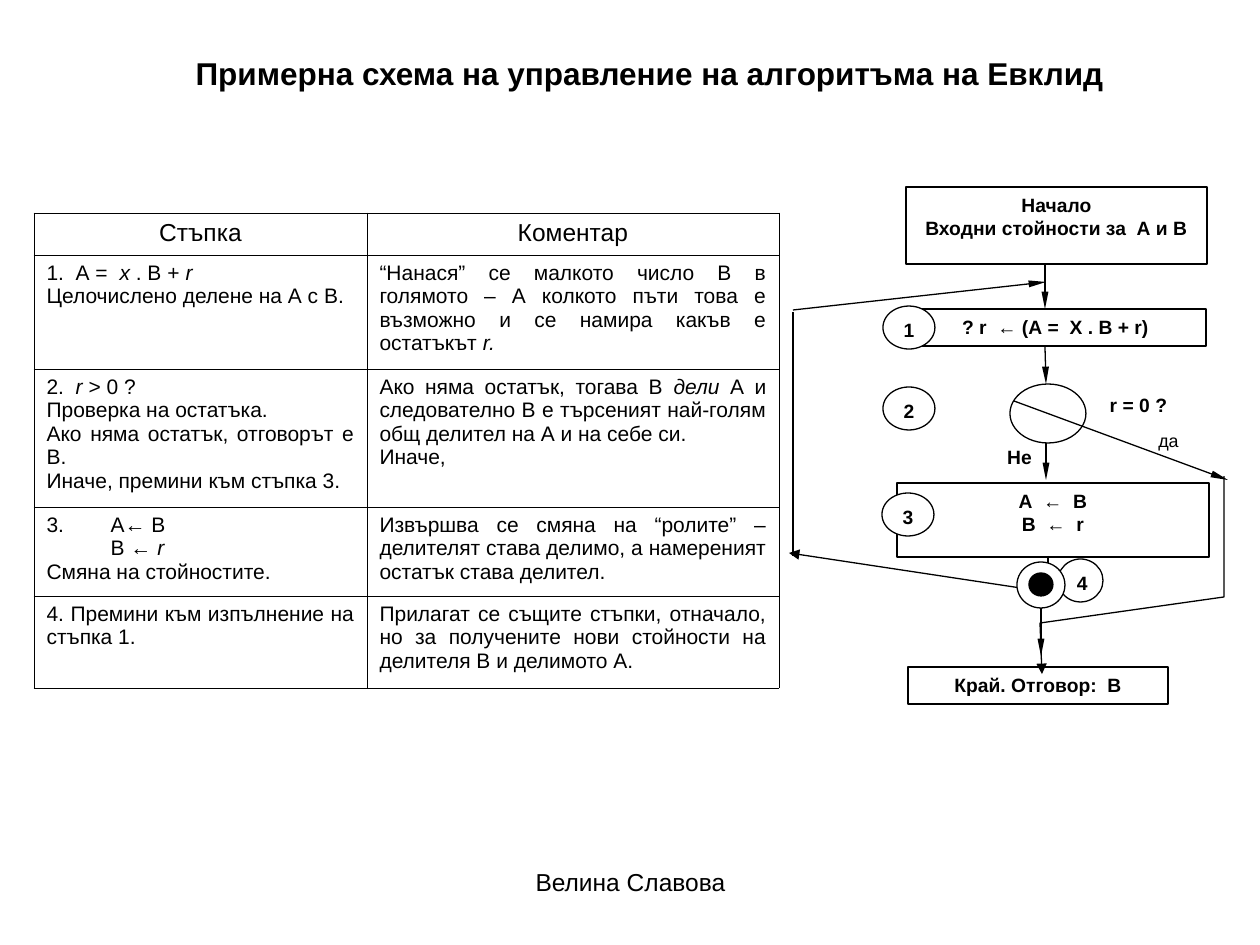
"""Build a slide with the steps and control flow of Euclid's algorithm."""
from lxml.etree import SubElement
from pptx import Presentation
from pptx.dml.color import RGBColor
from pptx.enum.shapes import MSO_CONNECTOR, MSO_SHAPE
from pptx.enum.text import MSO_ANCHOR, PP_ALIGN
from pptx.oxml import parse_xml
from pptx.oxml.ns import nsdecls, qn
from pptx.util import Emu, Pt

SCALE = 914400 / 126
FONT = "Arial"
COLORS = {"ink": "000000", "paper": "FFFFFF"}
TITLE = "Примерна схема на управление на алгоритъма на Евклид"
AUTHOR = "Велина Славова"

TABLE_AT = (34, 213)
COLUMN_WIDTHS = (333, 412)
ROW_HEIGHTS = (42, 114, 138, 89, 92)
STEP_TAB = 64
ROWS = [
    (["Стъпка"], ["Коментар"]),
    (["1.  А =  *х* . В + *r*", "Целочислено делене на А с В."],
     ["“Нанася” се малкото число В в голямото – А колкото пъти това е възможно "
      "и се намира какъв е остатъкът *r.*"]),
    (["2.  *r* > 0 ?", "Проверка на остатъка.", "Ако няма остатък, отговорът е В.",
      "Иначе, премини към стъпка 3."],
     ["Ако няма остатък, тогава В *дели* А и следователно В е търсеният най-голям "
      "общ делител на А и на себе си.", "Иначе,"]),
    (["3.\tА← B", "\tB ← *r*", "Смяна на стойностите."],
     ["Извършва се смяна на “ролите” – делителят става делимо, а намереният "
      "остатък става делител."]),
    (["4. Премини към изпълнение на стъпка 1."],
     ["Прилагат се същите стъпки, отначало, но за получените нови стойности на "
      "делителя В и делимото А."]),
]

BOXES = [
    ((906, 187, 301, 77), "Начало\nВходни стойности за  А и В"),
    ((905, 309, 301, 37), "? r  ← (А =  Х . В + r)"),
    ((897, 483, 312, 74), "А  ←  В\nВ  ←  r"),
    ((908, 667, 260, 37), "Край. Отговор:  В"),
]
DECISION = (1010, 384, 76, 59)
STEP_MARKS = [
    ((883, 306, 52, 43), "1"),
    ((883, 387, 52, 43), "2"),
    ((882, 493, 52, 43), "3"),
    ((1058, 559, 45, 43), "4"),
]
JUNCTION = [((1017, 562, 48, 46), "paper"), ((1029, 573, 24, 23), "ink")]
SLIM = {"w": "sm", "len": "lg"}
MEDIUM = {"w": "med", "len": "med"}
LINES = [
    ((1045, 264, 1045, 309), "tailEnd", SLIM),
    ((1045, 346, 1046, 384), "tailEnd", SLIM),
    ((1046, 443, 1046, 480), "tailEnd", SLIM),
    ((1048, 556, 1048, 593), "tailEnd", SLIM),
    ((793, 310, 1046, 282), "tailEnd", SLIM),
    ((793, 312, 793, 556), None, None),
    ((789, 553, 1047, 592), "headEnd", MEDIUM),
    ((1014, 401, 1228, 480), "tailEnd", SLIM),
    ((1041, 585, 1041, 656), "tailEnd", SLIM),
]
EXIT_ROUTE = [(1224, 476), (1224, 597), (1040, 623), (1042, 674)]
LABELS = [
    ((1082, 387, 113, 38), "r = 0 ?", 11, True),
    ((1142, 423, 53, 38), "да", 10.2, False),
    ((974, 439, 91, 43), "Не", 11, True),
    ((431, 861, 399, 65), AUTHOR, 14, False),
]


def px(*lengths):
    return [Emu(round(length * SCALE)) for length in lengths]


def color(name):
    return RGBColor.from_string(COLORS[name])


def format_text(frame, size, bold=False, align=PP_ALIGN.CENTER, anchor=MSO_ANCHOR.TOP):
    frame.word_wrap = True
    frame.vertical_anchor = anchor
    for para in frame.paragraphs:
        para.alignment = align
        for span in para.runs:
            span.font.name = FONT
            span.font.size = Pt(size)
            span.font.bold = bold
            span.font.color.rgb = color("ink")


def outline(shape):
    shape.line.color.rgb = color("ink")
    shape.line.width = Pt(0.75)


def add_arrowhead(shape, end, size):
    line = shape._element.spPr.find(qn("a:ln"))
    SubElement(line, qn(f"a:{end}"), type="triangle", **size)


def add_figure(page, kind, at, text="", fill="paper"):
    shape = page.shapes.add_shape(kind, *px(*at))
    shape.shadow.inherit = False
    shape.fill.solid()
    shape.fill.fore_color.rgb = color(fill)
    outline(shape)
    shape.text_frame.text = text
    format_text(shape.text_frame, 11, True)


def add_line(page, points, end, size):
    line = page.shapes.add_connector(MSO_CONNECTOR.STRAIGHT, *px(*points))
    outline(line)
    SubElement(line._element.spPr, qn("a:effectLst"))
    if end:
        add_arrowhead(line, end, size)


def add_exit_route(page):
    builder = page.shapes.build_freeform(*EXIT_ROUTE[0], scale=SCALE)
    builder.add_line_segments(EXIT_ROUTE[1:], close=False)
    route = builder.convert_to_shape()
    route.shadow.inherit = False
    route.fill.background()
    outline(route)
    add_arrowhead(route, "tailEnd", MEDIUM)


def fill_cell(cell, paragraphs, heading):
    frame = cell.text_frame
    for index, text in enumerate(paragraphs):
        para = frame.paragraphs[0] if index == 0 else frame.add_paragraph()
        if "\t" in text:
            tabs = SubElement(para._p.get_or_add_pPr(), qn("a:tabLst"))
            SubElement(tabs, qn("a:tab"), pos=str(px(STEP_TAB)[0]), algn="l")
        for part, words in enumerate(text.split("*")):
            if words:
                span = para.add_run()
                span.text = words
                span.font.italic = part % 2 == 1
    align = PP_ALIGN.CENTER if heading else PP_ALIGN.JUSTIFY
    format_text(frame, 14 if heading else 12, align=align)
    cell.fill.background()
    for index, side in enumerate("LRTB"):
        border = parse_xml(
            f'<a:ln{side} {nsdecls("a")} w="5715"><a:solidFill>'
            f'<a:srgbClr val="{COLORS["ink"]}"/></a:solidFill></a:ln{side}>')
        cell._tc.get_or_add_tcPr().insert(index, border)


def add_steps_table(page):
    size = (sum(COLUMN_WIDTHS), sum(ROW_HEIGHTS))
    table = page.shapes.add_table(len(ROWS), len(COLUMN_WIDTHS), *px(*TABLE_AT, *size)).table
    for column, width in zip(table.columns, px(*COLUMN_WIDTHS)):
        column.width = width
    for row, height, contents in zip(table.rows, px(*ROW_HEIGHTS), ROWS):
        row.height = height
        for cell, paragraphs in zip(row.cells, contents):
            fill_cell(cell, paragraphs, contents is ROWS[0])


def main():
    deck = Presentation()
    deck.slide_width, deck.slide_height = px(1260, 945)
    page = deck.slides.add_slide(deck.slide_layouts[5])
    title = page.shapes.title
    title.left, title.top, title.width, title.height = px(183, 48, 945, 50)
    title.text_frame.text = TITLE
    format_text(title.text_frame, 18, True, PP_ALIGN.LEFT, MSO_ANCHOR.MIDDLE)
    add_steps_table(page)
    for at, text in BOXES:
        add_figure(page, MSO_SHAPE.RECTANGLE, at, text)
    add_figure(page, MSO_SHAPE.OVAL, DECISION)
    for points, end, size in LINES:
        add_line(page, points, end, size)
    for at, text in STEP_MARKS:
        add_figure(page, MSO_SHAPE.OVAL, at, text)
    add_exit_route(page)
    for at, fill in JUNCTION:
        add_figure(page, MSO_SHAPE.OVAL, at, fill=fill)
    for at, text, size, bold in LABELS:
        box = page.shapes.add_textbox(*px(*at))
        box.text_frame.text = text
        format_text(box.text_frame, size, bold)
    deck.save("out.pptx")


if __name__ == "__main__":
    main()
